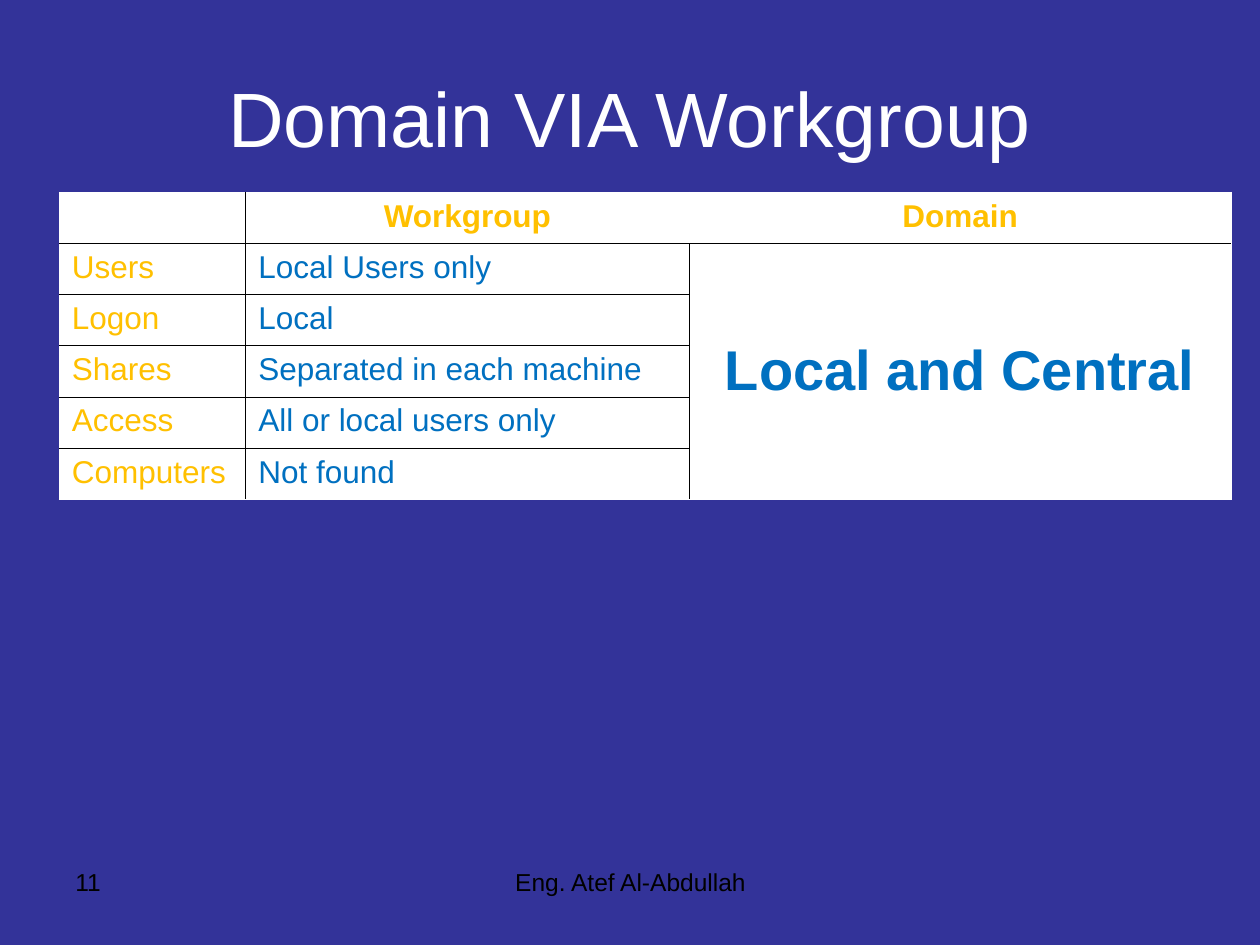
from pptx import Presentation
from pptx.dml.color import RGBColor
from pptx.enum.text import MSO_ANCHOR, PP_ALIGN
from pptx.oxml import parse_xml
from pptx.oxml.ns import nsdecls
from pptx.util import Inches, Pt

WHITE, BLACK, NAVY, GOLD, BLUE = "FFFFFF", "000000", "333399", "FFC000", "0070C0"
COLUMNS, ROWS = 100, 75


def color(value):
    return RGBColor.from_string(value)


class SlideBuilder:
    font = "Arial"
    border_width = Pt(0.45)

    def __init__(self, deck):
        self.unit_x = deck.slide_width / COLUMNS
        self.unit_y = deck.slide_height / ROWS
        self.page = deck.slides.add_slide(deck.slide_layouts[6])
        self.page.background.fill.solid()
        self.page.background.fill.fore_color.rgb = color(NAVY)

    def area(self, left, top, width, height):
        return [round(length * unit) for length, unit in
                zip((left, top, width, height), (self.unit_x, self.unit_y) * 2)]

    def set_text(self, frame, text, size, ink, align=PP_ALIGN.LEFT, bold=False):
        frame.text = text
        para = frame.paragraphs[0]
        para.alignment = align
        for span in para.runs:
            span.font.name = self.font
            span.font.size = Pt(size)
            span.font.bold = bold
            span.font.color.rgb = color(ink)

    def text_box(self, place, text, size, ink, align=PP_ALIGN.LEFT, anchor=MSO_ANCHOR.TOP):
        frame = self.page.shapes.add_textbox(*self.area(*place)).text_frame
        frame.word_wrap = True
        frame.vertical_anchor = anchor
        self.set_text(frame, text, size, ink, align)

    def borders(self, cell, **sides):
        properties = cell._tc.get_or_add_tcPr()
        for side, ink in sides.items():
            properties.append(parse_xml(
                f'<a:ln{side} {nsdecls("a")} w="{self.border_width}"><a:solidFill>'
                f'<a:srgbClr val="{ink}"/></a:solidFill></a:ln{side}>'))

    def comparison(self, place, widths, records, verdict):
        left, top, width, height = self.area(*place)
        row_count, column_count = len(records), len(widths)
        table = self.page.shapes.add_table(
            row_count, column_count, left, top, width, height).table
        table.first_row = table.horz_banding = False
        for column, share in zip(table.columns, widths):
            column.width = round(share * self.unit_x)
        last_row, last_column = row_count - 1, column_count - 1
        for row, record in enumerate(records):
            for column, text in enumerate(record):
                cell = table.cell(row, column)
                header = row == 0
                merged = column == last_column and not header
                self.borders(
                    cell,
                    L=WHITE if column == 0 or header and column == last_column else BLACK,
                    R=WHITE if column == last_column or header and column > 0 else BLACK,
                    T=WHITE if header or merged and row > 1 else BLACK,
                    B=WHITE if row == last_row or merged else BLACK)
                cell.fill.solid()
                cell.fill.fore_color.rgb = color(WHITE)
                self.set_text(cell.text_frame, text, 18,
                              GOLD if header or column == 0 else BLUE,
                              PP_ALIGN.CENTER if header else PP_ALIGN.LEFT, header)
        cell = table.cell(1, last_column)
        cell.merge(table.cell(last_row, last_column))
        cell.vertical_anchor = MSO_ANCHOR.MIDDLE
        self.set_text(cell.text_frame, verdict, 32, BLUE, PP_ALIGN.CENTER, True)


def main():
    deck = Presentation()
    deck.slide_width, deck.slide_height = Inches(10), Inches(7.5)
    builder = SlideBuilder(deck)
    builder.text_box((34.2, 68.3, 31.7, 5.2), "Eng. Atef Al-Abdullah", 14, BLACK,
                     PP_ALIGN.CENTER)
    builder.text_box((5, 68.3, 23.3, 5.2), "11", 14, BLACK)
    builder.text_box((5, 3, 90, 12.5), "Domain VIA Workgroup", 44, WHITE,
                     PP_ALIGN.CENTER, MSO_ANCHOR.MIDDLE)
    records = [
        ("", "Workgroup", "Domain"),
        ("Users", "Local Users only", ""),
        ("Logon", "Local", ""),
        ("Shares", "Separated in each machine", ""),
        ("Access", "All or local users only", ""),
        ("Computers", "Not found", ""),
    ]
    builder.comparison((4.7, 15.25, 93, 24.4), (14.8, 35.2, 43), records,
                       "Local and Central")
    deck.save("out.pptx")


if __name__ == "__main__":
    main()
